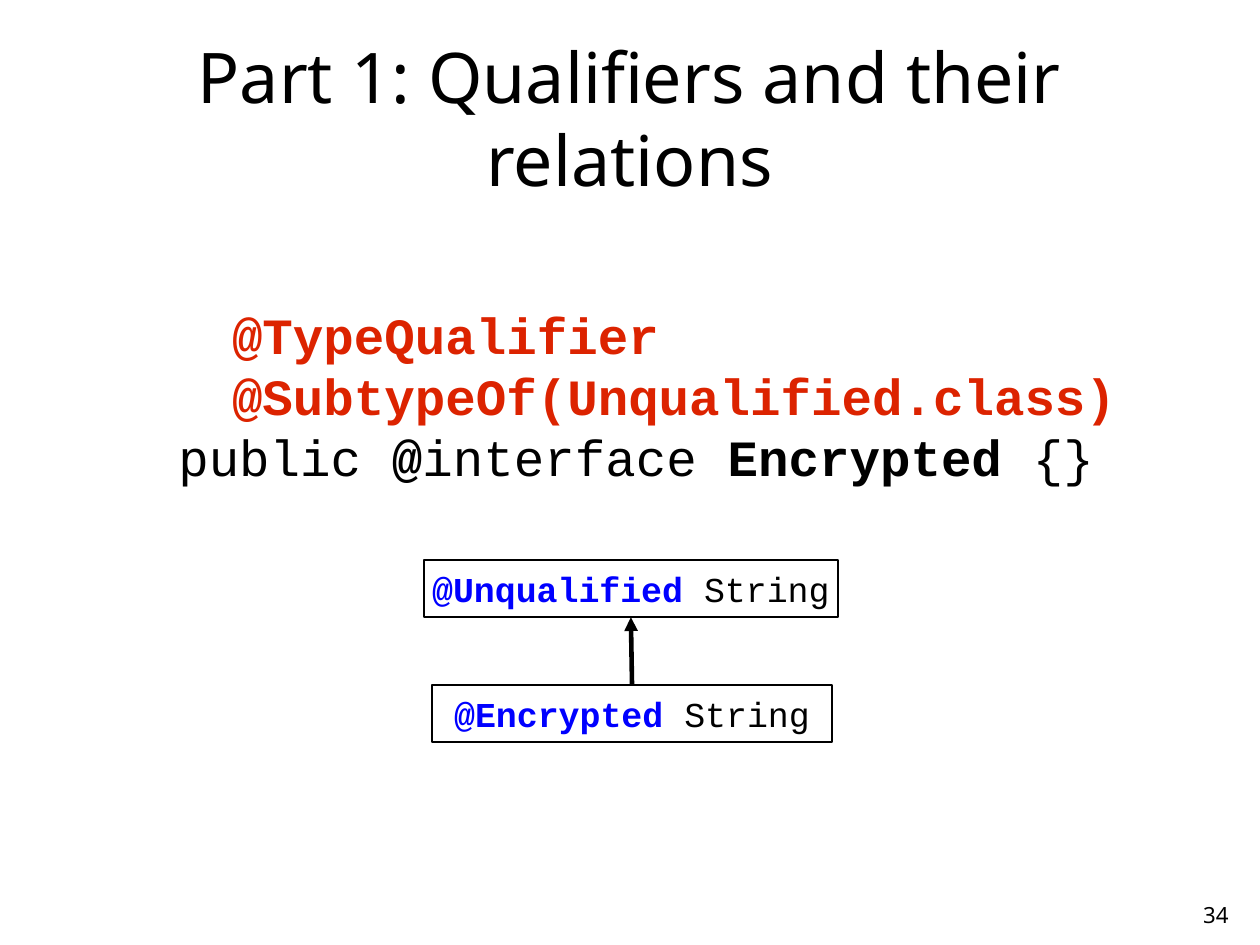
"""Build the slide on qualifiers and their relations."""
import pptx
import pptx.dml.color
import pptx.enum.shapes
import pptx.enum.text
import pptx.oxml
import pptx.oxml.ns
import pptx.util

Inches = pptx.util.Inches
Pt = pptx.util.Pt
ALIGN = pptx.enum.text.PP_ALIGN
ANCHOR = pptx.enum.text.MSO_ANCHOR
MONO, SANS = "Courier New", "Noto Sans"
BLACK, BLUE, RED = "000000", "0000FF", "DC2300"


def color(code):
    return pptx.dml.color.RGBColor.from_string(code)


def write(par, parts, size, font, align):
    par.alignment = align
    for text, code, bold in parts:
        run = par.add_run()
        run.text = text
        run.font.size = Pt(size)
        run.font.name = font
        run.font.bold = bold
        run.font.color.rgb = color(code)


deck = pptx.Presentation()
deck.slide_width = Inches(793.75 / 72)
deck.slide_height = Inches(595.25 / 72)
slide = deck.slides.add_slide(deck.slide_layouts[6])
shapes = slide.shapes

labels = [
    ("Part 1: Qualifiers and their relations", (0.41, 0.19, 10.2, 1.67),
     44, ALIGN.CENTER, ANCHOR.MIDDLE, 0.2),
    ("34", (8.18, 7.65, 2.57, 0.47), 14, ALIGN.RIGHT, ANCHOR.BOTTOM, 0),
]
for text, area, size, align, anchor, side in labels:
    frame = shapes.add_textbox(*map(Inches, area)).text_frame
    frame.word_wrap = True
    frame.vertical_anchor = anchor
    frame.margin_left = frame.margin_right = Inches(side)
    frame.margin_top = frame.margin_bottom = 0
    write(frame.paragraphs[0], [(text, BLACK, False)], size, SANS, align)

code = [
    (0.47, [("@TypeQualifier", RED, True)]),
    (0.47, [("@SubtypeOf(Unqualified.class)", RED, True)]),
    (0, [("public ", BLACK, False), ("@", BLACK, True),
         ("interface ", BLACK, False), ("Encrypted", BLACK, True),
         (" {}", BLACK, False)]),
]
body = shapes.add_textbox(Inches(0.55), Inches(1.93), Inches(9.92), Inches(4.8))
frame = body.text_frame
frame.word_wrap = True
frame.margin_left, frame.margin_top = Inches(1.01), Inches(0.73)
frame.margin_right = frame.margin_bottom = 0
for row, (indent, parts) in enumerate(code):
    par = frame.add_paragraph() if row else frame.paragraphs[0]
    par.line_spacing = Pt(38.4)
    par._p.get_or_add_pPr().set("marL", str(Inches(indent)))
    write(par, parts, 32, MONO, ALIGN.LEFT)

types = [("@Unqualified", 3.71, 4.9, 3.62), ("@Encrypted", 3.78, 5.99, 3.5)]
for name, left, top, width in types:
    box = shapes.add_shape(pptx.enum.shapes.MSO_SHAPE.RECTANGLE,
                           Inches(left), Inches(top), Inches(width), Inches(0.5))
    box.shadow.inherit = False
    box.fill.solid()
    box.fill.fore_color.rgb = color("FFFFFF")
    box.line.color.rgb = color(BLACK)
    box.line.width = Pt(1.45)
    frame = box.text_frame
    frame.word_wrap = False
    frame.vertical_anchor = ANCHOR.MIDDLE
    frame.margin_left = frame.margin_right = Inches(0.06)
    frame.margin_top = frame.margin_bottom = Inches(0.01)
    write(frame.paragraphs[0], [(name, BLUE, True), (" String", BLACK, False)],
          22, MONO, ALIGN.CENTER)

arrow = shapes.add_connector(pptx.enum.shapes.MSO_CONNECTOR.STRAIGHT,
                             Inches(5.53), Inches(5.99), Inches(5.52), Inches(5.4))
arrow.line.color.rgb = color(BLACK)
arrow.line.width = Pt(2.89)
tip = pptx.oxml.parse_xml(
    f'<a:tailEnd {pptx.oxml.ns.nsdecls("a")} type="triangle"/>')
arrow.line._get_or_add_ln().append(tip)
arrow._element.spPr.append(
    pptx.oxml.parse_xml(f'<a:effectLst {pptx.oxml.ns.nsdecls("a")}/>'))

deck.save("out.pptx")
